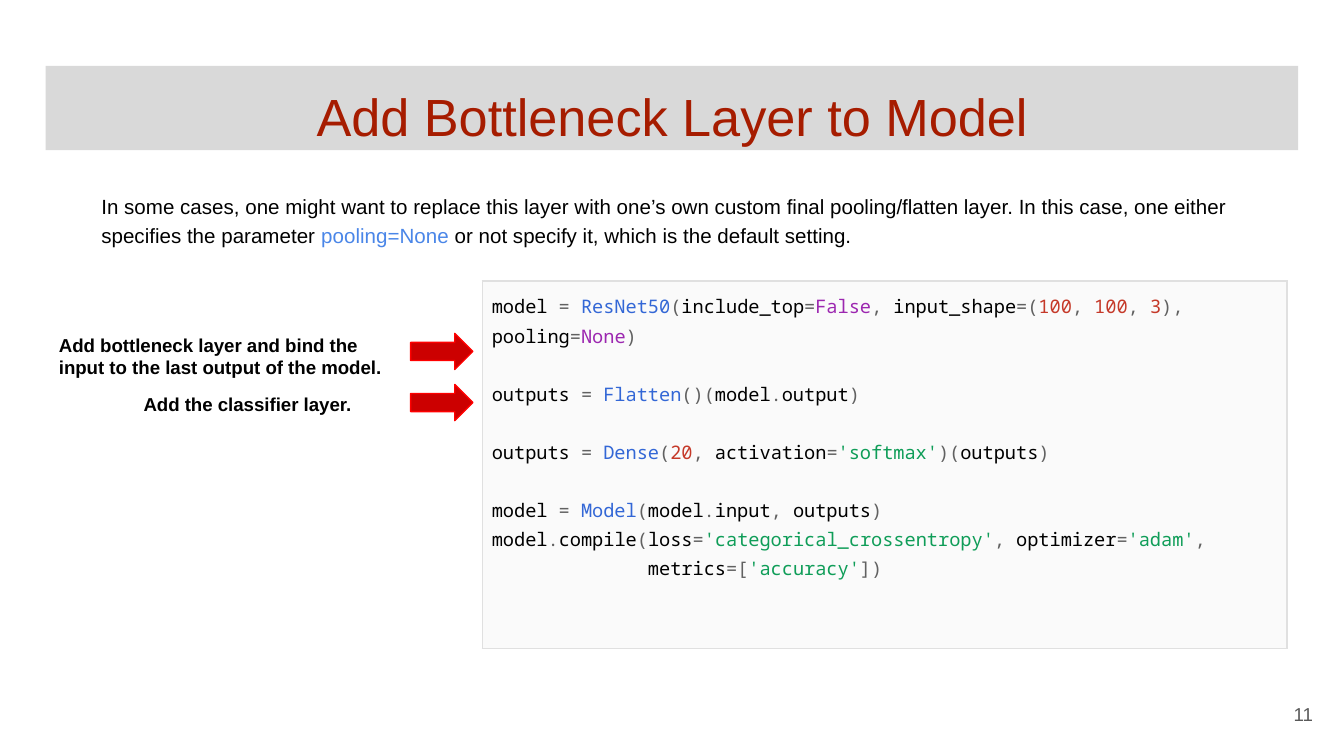
from itertools import groupby

from lxml import etree
from pptx import Presentation
from pptx.dml.color import RGBColor
from pptx.enum import shapes, text
from pptx.oxml.ns import qn
from pptx.util import Pt

COLORS = {
    "band": "D9D9D9", "title": "A61C00", "ink": "000000", "page": "595959",
    "param": "4A86E8", "arrow": "CC0000", "arrow_line": "FF0000",
    "code_bg": "FAFAFA", "code_border": "E0E0E0",
    "symbol": "616161", "class": "3367D6", "constant": "9C27B0",
    "number": "C53929", "string": "0F9D58",
}
KEYWORDS = {
    "ResNet50": "class", "Flatten": "class", "Dense": "class", "Model": "class",
    "False": "constant", "None": "constant",
}
# Blocks of code, separated by one line of space
CODE = [
    ["model = ResNet50(include_top=False, input_shape=(100, 100, 3), pooling=None)"],
    ["outputs = Flatten()(model.output)"],
    ["outputs = Dense(20, activation='softmax')(outputs)"],
    ["model = Model(model.input, outputs)",
     "model.compile(loss='categorical_crossentropy', optimizer='adam',",
     "              metrics=['accuracy'])"],
]
CODE_LINE = 15.6


def rgb(name):
    return RGBColor.from_string(COLORS[name])


def add_run(p, content, font="Arial", size=10, color="ink", bold=False):
    r = p.add_run()
    r.text = content
    r.font.name, r.font.size, r.font.bold = font, Pt(size), bold
    r.font.color.rgb = rgb(color)


def highlight(line):
    """Yield (text, colour name) for each token of a line of code."""
    for i, part in enumerate(line.split("'")):
        if i % 2:
            yield f"'{part}'", "string"
            continue
        for is_word, chars in groupby(part, lambda c: c.isalnum() or c == "_"):
            token = "".join(chars)
            if not is_word:
                yield token, "symbol"
            elif token.isdigit():
                yield token, "number"
            else:
                yield token, KEYWORDS.get(token, "ink")


class Deck:
    def __init__(self):
        self.prs = Presentation()
        self.prs.slide_width, self.prs.slide_height = Pt(720), Pt(405)
        self.slide = self.prs.slides.add_slide(self.prs.slide_layouts[5])

    def frame(self, tf, top=7.2, anchor=text.MSO_ANCHOR.TOP):
        tf.word_wrap, tf.auto_size = True, text.MSO_AUTO_SIZE.NONE
        tf.vertical_anchor = anchor
        tf.margin_left = tf.margin_right = tf.margin_bottom = Pt(7.2)
        tf.margin_top = Pt(top)
        return tf.paragraphs[0]

    def title(self, content, x, y, w, h):
        sp = self.slide.shapes.title
        sp.left, sp.top, sp.width, sp.height = Pt(x), Pt(y), Pt(w), Pt(h)
        sp.fill.solid()
        sp.fill.fore_color.rgb = rgb("band")
        p = self.frame(sp.text_frame, top=10)
        p.alignment = text.PP_ALIGN.CENTER
        add_run(p, content, size=28, color="title")

    def label(self, runs, x, y, w, h, align=text.PP_ALIGN.LEFT,
              anchor=text.MSO_ANCHOR.TOP, spacing=1.0, **style):
        """Add a text box from (text, colour name) runs."""
        sp = self.slide.shapes.add_textbox(Pt(x), Pt(y), Pt(w), Pt(h))
        p = self.frame(sp.text_frame, anchor=anchor)
        p.alignment, p.line_spacing = align, spacing
        for content, color in runs:
            add_run(p, content, color=color, **style)

    def arrow(self, x, y, w, h):
        sp = self.slide.shapes.add_shape(
            shapes.MSO_SHAPE.RIGHT_ARROW, Pt(x), Pt(y), Pt(w), Pt(h))
        sp.shadow.inherit = False
        sp.fill.solid()
        sp.fill.fore_color.rgb = rgb("arrow")
        sp.line.color.rgb = rgb("arrow_line")
        sp.line.width = Pt(0.75)

    def code_table(self, blocks, x, y, w, h):
        table = self.slide.shapes.add_table(1, 1, Pt(x), Pt(y), Pt(w), Pt(h)).table
        table.first_row = table.horz_banding = False
        cell = table.cell(0, 0)
        cell.margin_left = cell.margin_right = Pt(5)
        cell.margin_top = cell.margin_bottom = Pt(5)
        self.borders(cell)
        cell.fill.solid()
        cell.fill.fore_color.rgb = rgb("code_bg")
        tf = cell.text_frame
        for b, block in enumerate(blocks):
            for i, line in enumerate(block):
                first = b == 0 and i == 0
                p = tf.paragraphs[0] if first else tf.add_paragraph()
                p.line_spacing = 1.15
                if b and i == 0:
                    p.space_before = Pt(CODE_LINE)
                for token, color in highlight(line):
                    add_run(p, token, font="Noto Sans Mono", color=color)

    def borders(self, cell):
        tcPr = cell._tc.get_or_add_tcPr()
        for side in ("a:lnL", "a:lnR", "a:lnT", "a:lnB"):
            ln = etree.SubElement(tcPr, qn(side), w=str(Pt(1)))
            fill = etree.SubElement(ln, qn("a:solidFill"))
            etree.SubElement(fill, qn("a:srgbClr"), val=COLORS["code_border"])


def main():
    deck = Deck()
    deck.title("Add Bottleneck Layer to Model", 24.5, 35.3, 671, 45.2)
    deck.label([("11", "page")], 667.5, 367, 43, 31,
               align=text.PP_ALIGN.RIGHT, anchor=text.MSO_ANCHOR.MIDDLE)
    deck.label([
        ("In some cases, one might want to replace this layer with one’s own custom "
         "final pooling/flatten layer. In this case, one either specifies the "
         "parameter ", "ink"),
        ("pooling=None", "param"),
        (" or not specify it, which is the default setting.", "ink"),
    ], 47.2, 95, 638, 50.4, spacing=1.15, size=11)
    deck.code_table(CODE, 258.5, 150.5, 431, 197)

    steps = [
        ("Add bottleneck layer and bind the input to the last output of the model.",
         24.5, 171.4, 196, 35.3, 178.6),
        ("Add the classifier layer.", 69.8, 203, 150.5, 25.2, 206),
    ]
    for content, x, y, w, h, arrow_y in steps:
        deck.arrow(220, arrow_y, 33.3, 19.4)
        deck.label([(content, "ink")], x, y, w, h, bold=True)
    deck.prs.save("out.pptx")


if __name__ == "__main__":
    main()
